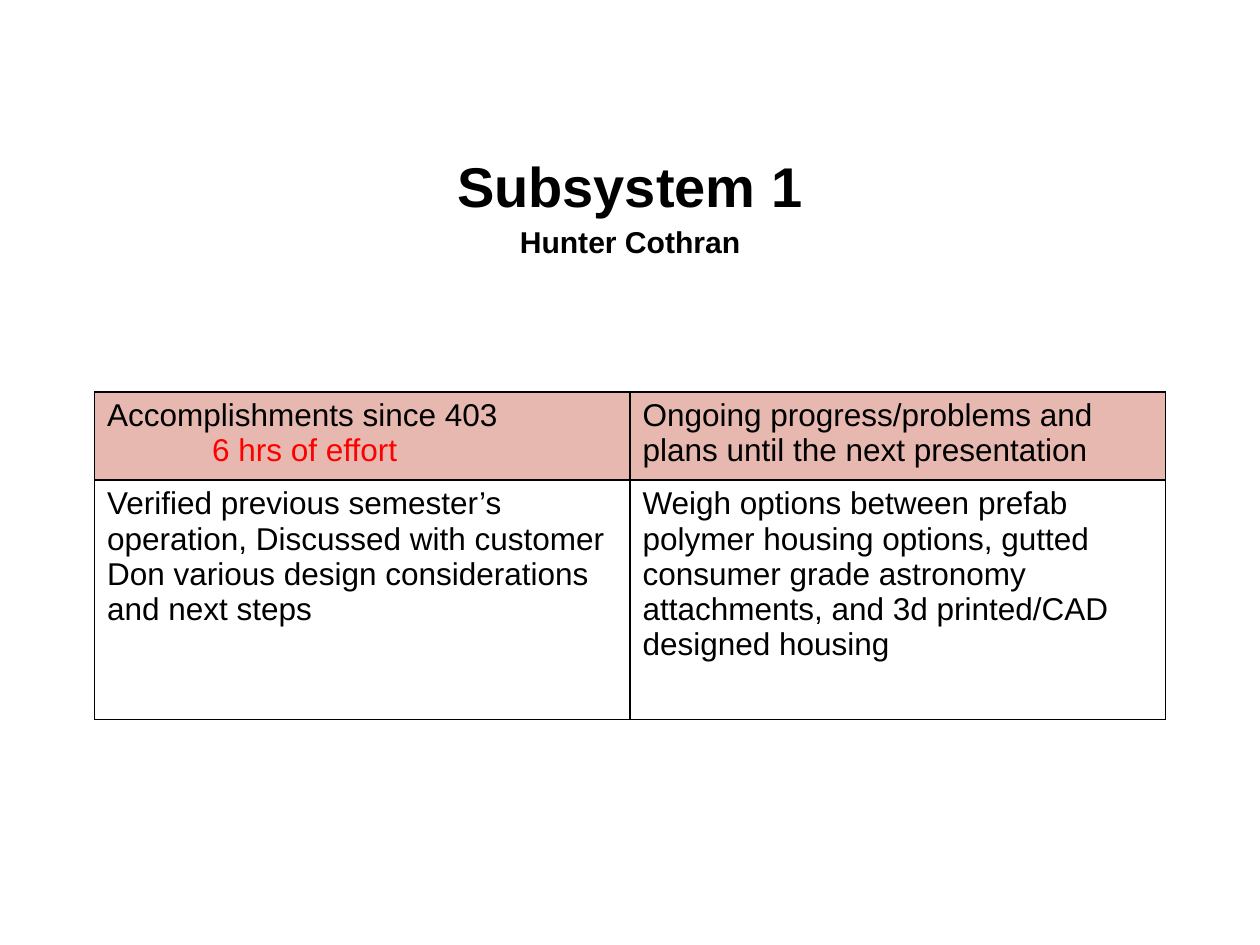
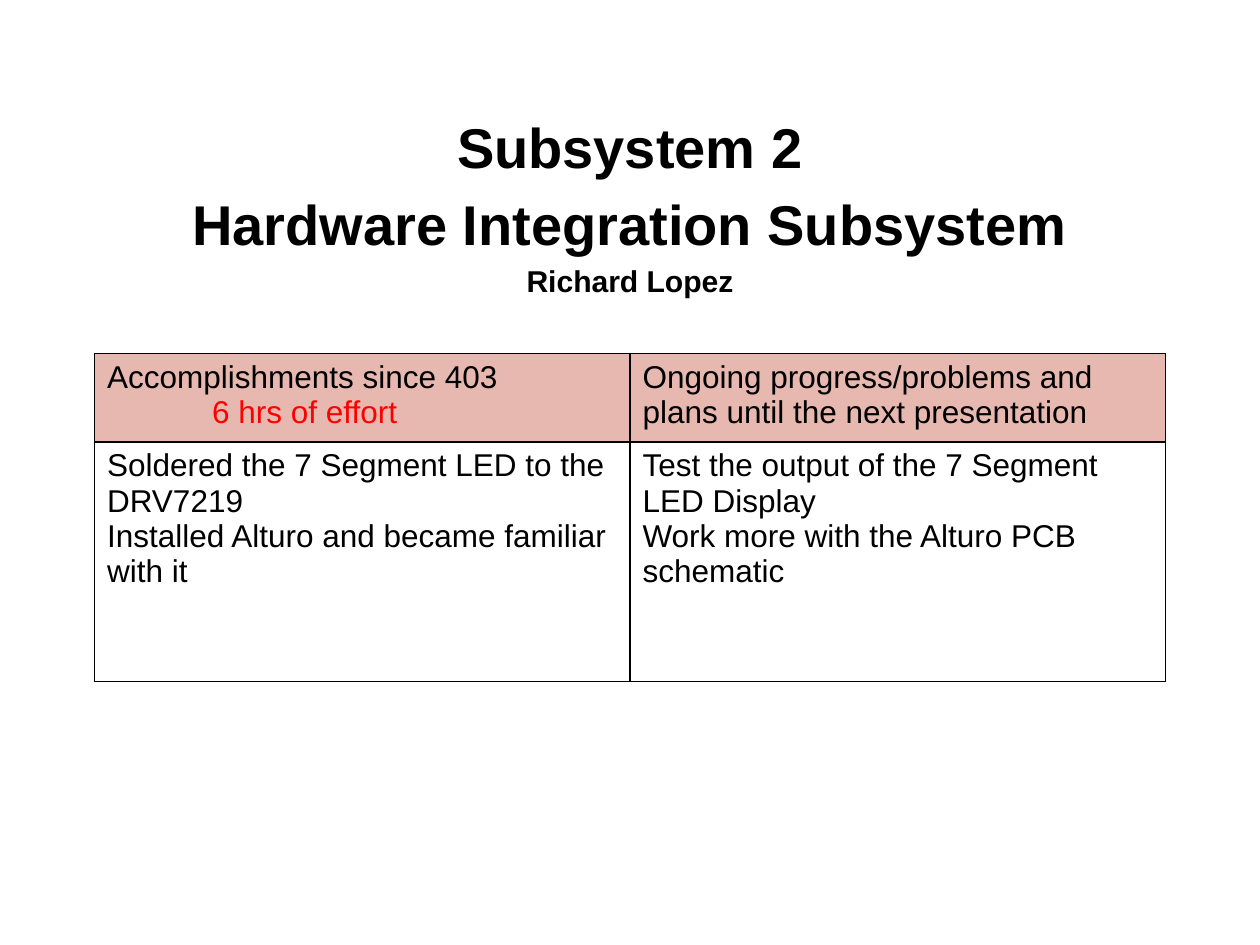
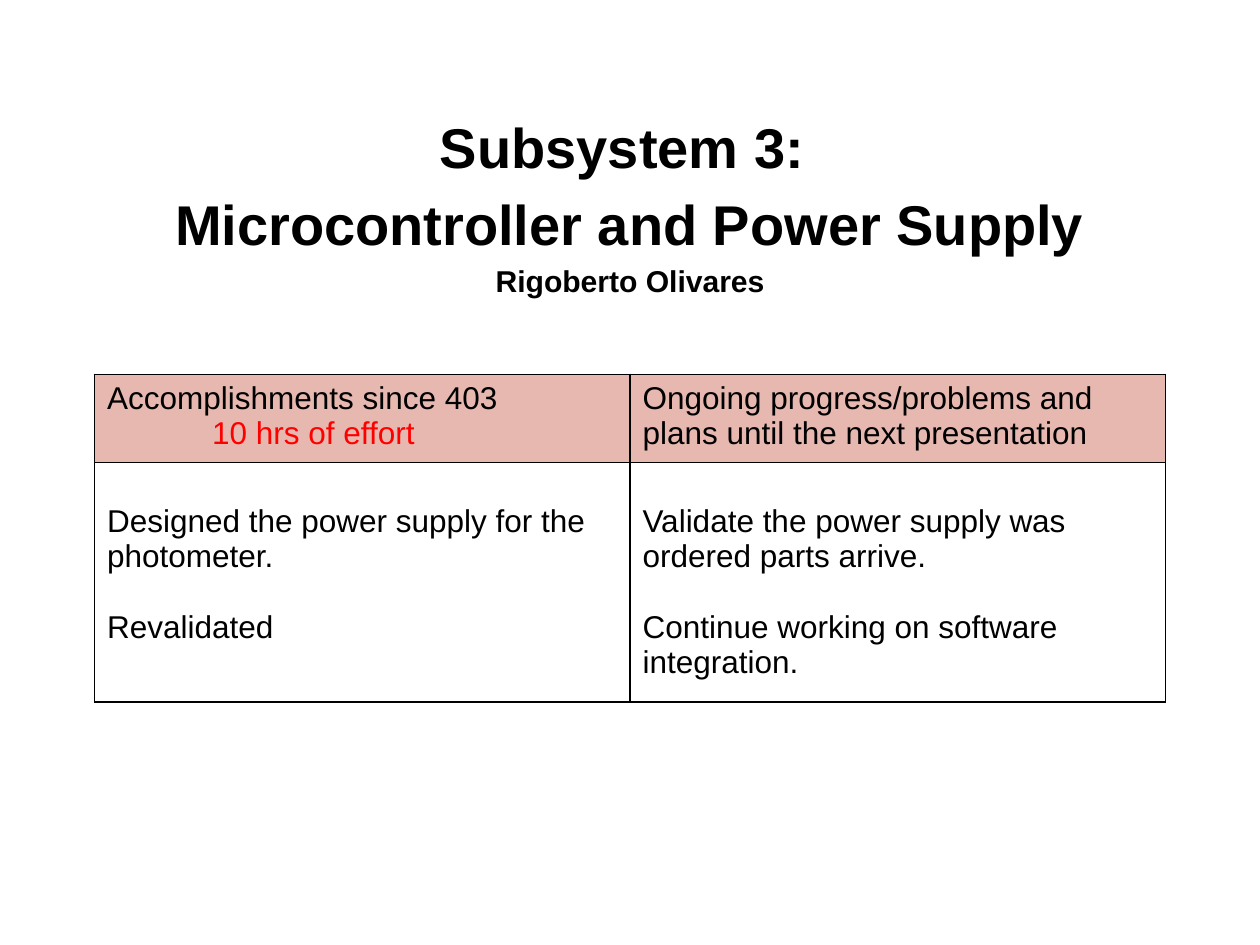
import pptx
import pptx.dml.color
import pptx.enum.text
import pptx.oxml
import pptx.oxml.ns
import pptx.util

Pt = pptx.util.Pt

FONT = "Arial"
BLACK = "000000"
RED = "FF0000"
HEADER_FILL = "E6B8AF"
COLUMN_WIDTH = 306
HEADER_HEIGHT, BODY_HEIGHT = 50.4, 136.8
TABLE_LEFT = 54
CELL_TOP = 3.6
EFFORT_INDENT = 60
LINE_GAP = 20.2

REPORTS = [
    {
        "titles": ["Subsystem 1"],
        "author": "Hunter Cothran",
        "table_top": 223.9,
        "effort": "6 hrs of effort",
        "done": ["Verified previous semester’s operation, Discussed with customer "
                 "Don various design considerations and next steps"],
        "plans": ["Weigh options between prefab polymer housing options, gutted "
                  "consumer grade astronomy attachments, and 3d printed/CAD "
                  "designed housing"],
        "gap": 0,
    },
    {
        "titles": ["Subsystem 2", "Hardware Integration Subsystem"],
        "author": "Richard Lopez",
        "table_top": 202.1,
        "effort": "6 hrs of effort",
        "done": ["Soldered the 7 Segment LED to the DRV7219",
                 "Installed Alturo and became familiar with it"],
        "plans": ["Test the output of the 7 Segment LED Display",
                  "Work more with the Alturo PCB schematic"],
        "gap": 0,
    },
    {
        "titles": ["Subsystem 3: ", "Microcontroller and Power Supply"],
        "author": "Rigoberto Olivares",
        "table_top": 213.9,
        "effort": "10 hrs of effort",
        "done": ["Designed the power supply for the photometer.", "Revalidated"],
        "plans": ["Validate the power supply was ordered parts arrive.",
                  "Continue working on software integration."],
        "gap": LINE_GAP,
    },
]


def rgb(value):
    return pptx.dml.color.RGBColor.from_string(value)


def write(frame, text, size=18, color=BLACK, bold=False, align=None,
          spacing=None, before=0, indent=0):
    """Add one formatted paragraph, using the frame's empty first one if free."""
    para = frame.paragraphs[0]
    if para.runs:
        para = frame.add_paragraph()
    para.alignment = align
    para.line_spacing = spacing
    para.space_before = Pt(before)
    if indent:
        para._p.get_or_add_pPr().set("marL", str(Pt(indent)))
    span = para.add_run()
    span.text = text
    span.font.name = FONT
    span.font.size = Pt(size)
    span.font.bold = bold
    span.font.color.rgb = rgb(color)


def add_title(page, titles, author):
    box = page.shapes.title
    box.left, box.top, box.width, box.height = Pt(36), Pt(82.8), Pt(648), Pt(63.4)
    frame = box.text_frame
    frame.word_wrap = True
    frame.auto_size = pptx.enum.text.MSO_AUTO_SIZE.NONE
    frame.vertical_anchor = pptx.enum.text.MSO_ANCHOR.MIDDLE
    lines = [(title, 32) for title in titles] + [(author, 17.2)]
    for text, size in lines:
        write(frame, text, size=size, bold=True, spacing=1.15,
              align=pptx.enum.text.PP_ALIGN.CENTER)


def format_cell(cell, fill=None):
    properties = cell._tc.get_or_add_tcPr()
    for side in ("lnL", "lnR", "lnT", "lnB"):
        properties.append(pptx.oxml.parse_xml(
            f'<a:{side} {pptx.oxml.ns.nsdecls("a")} w="{Pt(1)}"><a:solidFill>'
            f'<a:srgbClr val="{BLACK}"/></a:solidFill></a:{side}>'))
    if fill:
        cell.fill.solid()
        cell.fill.fore_color.rgb = rgb(fill)
    else:
        cell.fill.background()
    cell.margin_left = cell.margin_right = Pt(7.2)
    cell.margin_top = cell.margin_bottom = Pt(CELL_TOP)


def add_progress_table(page, report):
    table = page.shapes.add_table(
        2, 2, Pt(TABLE_LEFT), Pt(report["table_top"]),
        Pt(2 * COLUMN_WIDTH), Pt(HEADER_HEIGHT + BODY_HEIGHT)).table
    table.first_row = table.horz_banding = False
    for column in table.columns:
        column.width = Pt(COLUMN_WIDTH)
    for row, height in zip(table.rows, (HEADER_HEIGHT, BODY_HEIGHT)):
        row.height = Pt(height)

    for column in range(2):
        format_cell(table.cell(0, column), HEADER_FILL)
        format_cell(table.cell(1, column))

    done_header = table.cell(0, 0).text_frame
    write(done_header, "Accomplishments since 403")
    write(done_header, report["effort"], color=RED, indent=EFFORT_INDENT)
    write(table.cell(0, 1).text_frame,
          "Ongoing progress/problems and plans until the next presentation")

    for column, items in enumerate((report["done"], report["plans"])):
        cell = table.cell(1, column)
        cell.margin_top = Pt(CELL_TOP + report["gap"])
        for number, item in enumerate(items):
            write(cell.text_frame, item, before=report["gap"] if number else 0)


def main():
    deck = pptx.Presentation()
    deck.slide_width, deck.slide_height = Pt(720), Pt(540)
    title_only = deck.slide_layouts[5]
    for report in REPORTS:
        page = deck.slides.add_slide(title_only)
        add_title(page, report["titles"], report["author"])
        add_progress_table(page, report)
    deck.save("out.pptx")


if __name__ == "__main__":
    main()
